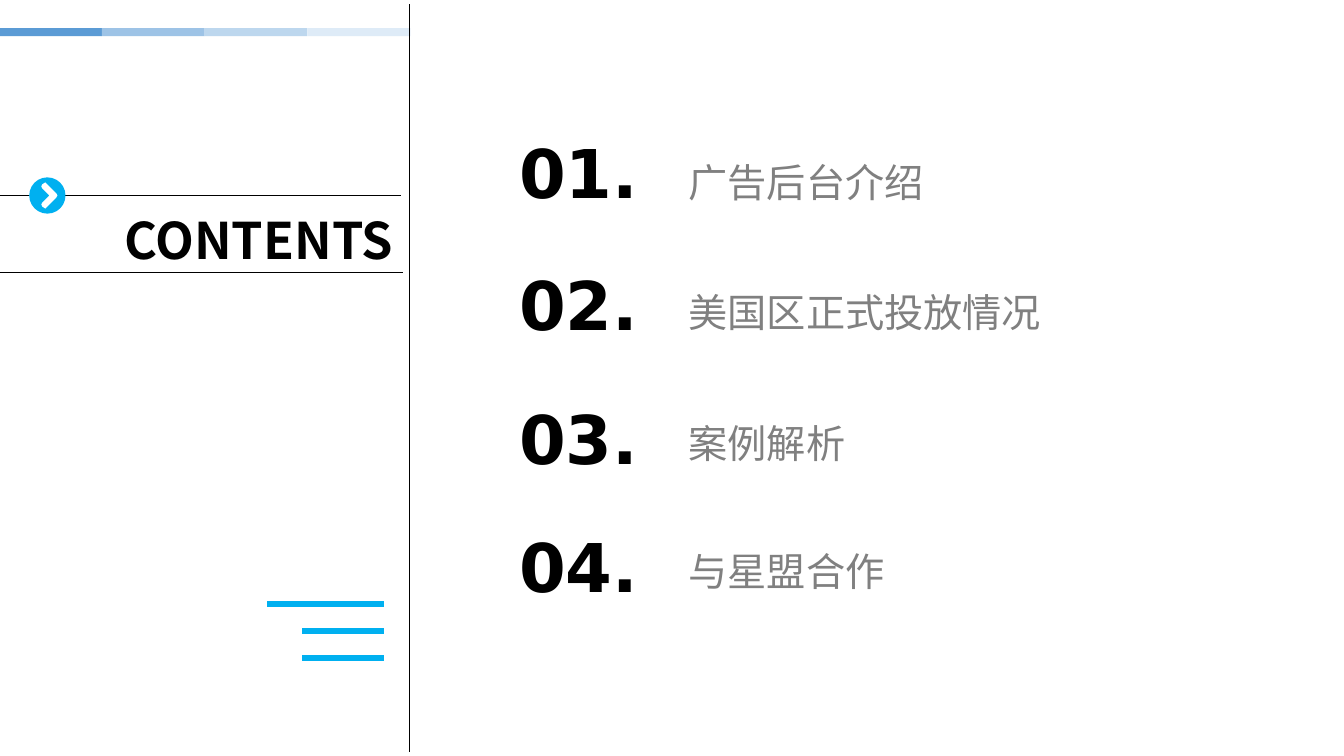
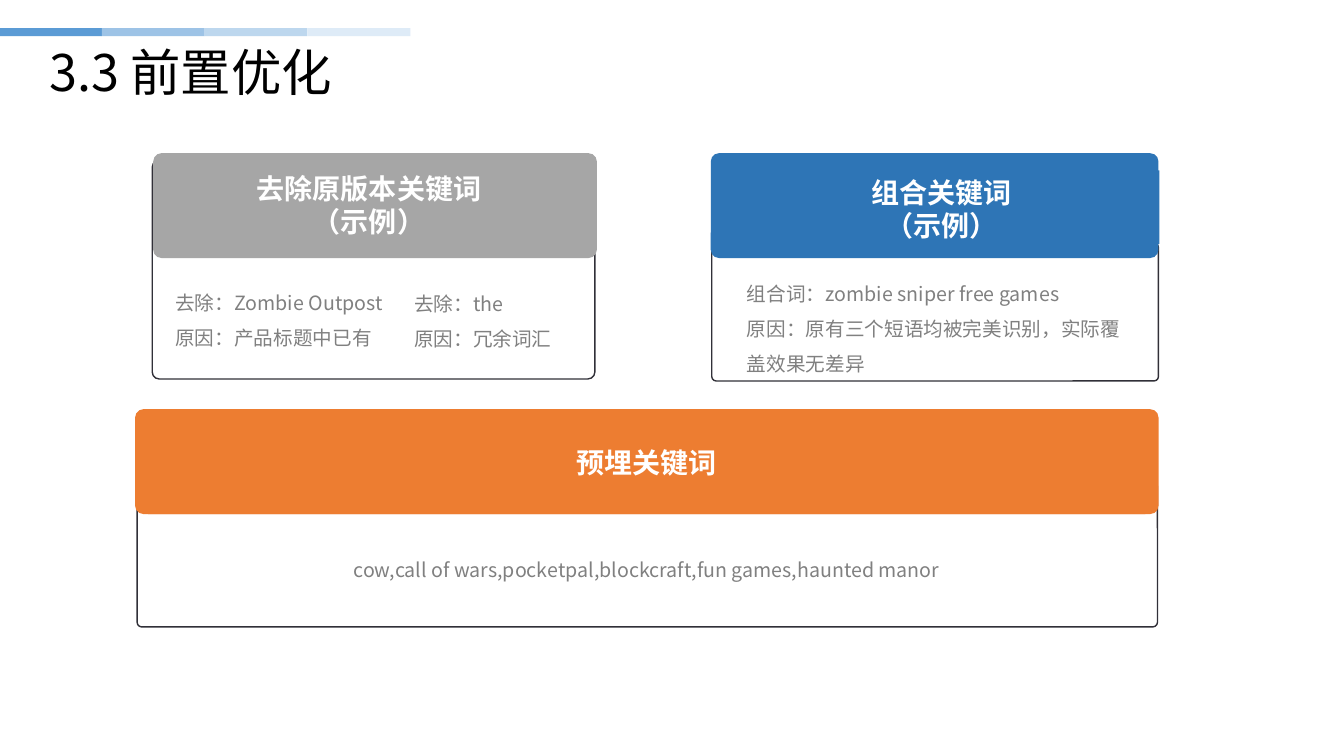
from lxml import etree
from pptx import Presentation
from pptx.dml.color import RGBColor
from pptx.enum.shapes import MSO_CONNECTOR, MSO_SHAPE
from pptx.enum.text import MSO_ANCHOR as ANCHOR, PP_ALIGN as ALIGN
from pptx.oxml.ns import qn
from pptx.util import Inches, Pt

BLACK = RGBColor(0x00, 0x00, 0x00)
WHITE = RGBColor(0xFF, 0xFF, 0xFF)
GRAY = RGBColor(0x80, 0x80, 0x80)
OUTLINE = RGBColor(0x31, 0x30, 0x38)
CYAN = RGBColor(0x00, 0xB0, 0xF0)
ORANGE = RGBColor(0xED, 0x7D, 0x31)
SILVER = RGBColor(0xA6, 0xA6, 0xA6)
BLUE = RGBColor(0x2E, 0x75, 0xB6)
STRIP = (RGBColor(0x5B, 0x9B, 0xD5), RGBColor(0x9D, 0xC3, 0xE6),
         RGBColor(0xBD, 0xD7, 0xEE), RGBColor(0xDE, 0xEB, 0xF7))

CJK = "Noto Sans CJK SC"
HEADING = dict(name=CJK, size=Pt(36), color=BLACK)
NUMBER = dict(name="DejaVu Sans", size=Pt(48), bold=True, color=BLACK)
ENTRY = dict(name=CJK, size=Pt(28), color=GRAY)
CARD_HEAD = dict(name="Roboto", size=Pt(20), bold=True, color=WHITE)
CARD_TEXT = dict(name=CJK, size=Pt(14), color=GRAY)
TIGHT = (0.07, 0.04)


def write(tf, lines, style, align=ALIGN.LEFT, anchor=ANCHOR.TOP,
          spacing=None, insets=(0.1, 0.05)):
    """Fill a text frame with one paragraph per line."""
    tf.word_wrap = True
    tf.vertical_anchor = anchor
    tf.margin_left = tf.margin_right = Inches(insets[0])
    tf.margin_top = tf.margin_bottom = Inches(insets[1])
    for i, line in enumerate(lines):
        p = tf.paragraphs[0] if i == 0 else tf.add_paragraph()
        p.alignment = align
        if spacing:
            p.line_spacing = spacing
        r = p.add_run()
        r.text = line
        for key, value in style.items():
            if key == "color":
                r.font.color.rgb = value
            else:
                setattr(r.font, key, value)
        ea = etree.SubElement(r.font._element, qn("a:ea"))
        ea.set("typeface", CJK)


def add_text(s, x, y, w, h, lines, style, **layout):
    sp = s.shapes.add_textbox(Inches(x), Inches(y), Inches(w), Inches(h))
    write(sp.text_frame, lines, style, **layout)


def paint(sp, fill=None, line=None):
    sp.shadow.inherit = False
    if fill is None:
        sp.fill.background()
    else:
        sp.fill.solid()
        sp.fill.fore_color.rgb = fill
    if line is None:
        sp.line.fill.background()
    else:
        sp.line.color.rgb = line
        sp.line.width = Pt(1)


def add_box(s, kind, x, y, w, h, fill=None, line=None, radius=None):
    sp = s.shapes.add_shape(kind, Inches(x), Inches(y), Inches(w), Inches(h))
    paint(sp, fill, line)
    if radius is not None:
        sp.adjustments[0] = radius
    return sp


def add_line(s, x1, y1, x2, y2, color=BLACK, width=0.5):
    cn = s.shapes.add_connector(MSO_CONNECTOR.STRAIGHT, Inches(x1), Inches(y1),
                                Inches(x2), Inches(y2))
    cn.line.color.rgb = color
    cn.line.width = Pt(width)
    etree.SubElement(cn._element.spPr, qn("a:effectLst"))


def new_slide(prs):
    """Add a blank slide with the four-tone strip at its top left."""
    s = prs.slides.add_slide(prs.slide_layouts[6])
    for i, color in enumerate(STRIP):
        add_box(s, MSO_SHAPE.RECTANGLE, 1.02 * i - 0.01, 0.28, 1.02, 0.08, color)
    return s


def arrow_badge(s, cx, cy):
    """Draw a round badge with a blunt chevron, centred on a point."""
    radius = 0.18
    add_box(s, MSO_SHAPE.OVAL, cx - radius, cy - radius, 2 * radius, 2 * radius, CYAN)
    upper = [(0.09, -0.02), (0, -0.11), (-0.02, -0.13), (-0.05, -0.11),
             (-0.06, -0.09), (-0.05, -0.07)]
    lower = [(dx, -dy) for dx, dy in reversed(upper)]
    outline = [(0.1, 0), *upper, (0.02, 0), *lower]
    points = [(Inches(cx + dx), Inches(cy + dy)) for dx, dy in outline]
    fb = s.shapes.build_freeform(*points[0])
    fb.add_line_segments(points[1:], close=True)
    paint(fb.convert_to_shape(), WHITE)


def side_panel(s, right):
    """Draw the heading column that ends at the given right edge."""
    add_line(s, 0, 2.7, right - 0.06, 2.7)
    add_line(s, 0, 1.94, right - 0.08, 1.94)
    add_text(s, right - 3.83, 1.94, 3.77, 0.86, ["CONTENTS"],
             dict(HEADING, bold=True), align=ALIGN.RIGHT, anchor=ANCHOR.MIDDLE)
    arrow_badge(s, 0.47, 1.94)
    end = right - 0.25
    for i, length in enumerate((1.16, 0.81, 0.81)):
        y = 5.99 + 0.27 * i
        add_line(s, end - length, y, end, y, CYAN, 4.5)
    add_line(s, right, 0.04, right, 7.46)


def contents_slide(prs):
    s = new_slide(prs)
    side_panel(s, 4.06)
    entries = [(1.39, 1.53, "广告后台介绍"), (2.7, 2.82, "美国区正式投放情况"),
               (4.03, 4.12, "案例解析"), (5.3, 5.39, "与星盟合作")]
    layout = dict(anchor=ANCHOR.MIDDLE, insets=TIGHT)
    for i, (number_y, entry_y, entry) in enumerate(entries, 1):
        add_text(s, 5.08, number_y, 1.72, 0.63, [f"{i:02}."], NUMBER, **layout)
        add_text(s, 6.76, entry_y, 4.86, 0.55, [entry], ENTRY, **layout)


def card(s, x, y, w, color, heading, frame, label, texts):
    """Draw a headed card; frame, label and texts are offset from (x, y)."""
    def place(box):
        dx, dy, *size = box
        return x + dx, y + dy, *size

    rounded = MSO_SHAPE.ROUNDED_RECTANGLE
    add_box(s, rounded, *place(frame), line=OUTLINE, radius=0.032)
    add_box(s, rounded, x, y, w, 1.04, color, radius=0.079)
    sp = add_box(s, MSO_SHAPE.RECTANGLE, *place(label), 0.73, color)
    write(sp.text_frame, heading, CARD_HEAD, align=ALIGN.CENTER)
    for box, lines, align in texts:
        add_text(s, *place(box), lines, CARD_TEXT, align=align, spacing=1.5)


def keywords_slide(prs):
    s = new_slide(prs)
    add_text(s, 0.39, 0.4, 11.5, 0.69, ["3.3 前置优化"], HEADING,
             anchor=ANCHOR.MIDDLE, spacing=0.9)
    card(s, 1.34, 4.06, 10.15, ORANGE, ["预埋关键词"],
         frame=(0.02, 0.72, 10.12, 1.44), label=(0.13, 0.31, 9.89),
         texts=[((1.08, 1.31, 7.99, 0.45),
                 ["cow,call of wars,pocketpal,blockcraft,fun games,haunted manor"],
                 ALIGN.CENTER)])
    card(s, 1.52, 1.52, 4.4, SILVER, ["去除原版本关键词", "（示例）"],
         frame=(-0.01, 0.07, 4.39, 2.17), label=(0, 0.13, 4.28),
         texts=[((0.12, 1.2, 3.88, 0.81),
                 ["去除：Zombie Outpost", "原因：产品标题中已有"], ALIGN.LEFT),
                ((2.49, 1.21, 1.66, 1.16),
                 ["去除：the", "原因：冗余词汇"], ALIGN.LEFT)])
    card(s, 7.05, 1.52, 4.44, BLUE, ["组合关键词", "（示例）"],
         frame=(0.01, 0.89, 4.43, 1.37), label=(0.12, 0.17, 4.33),
         texts=[((0.26, 1.11, 3.99, 1.16),
                 ["组合词：zombie sniper free games",
                  "原因：原有三个短语均被完美识别，实际覆盖效果无差异"], ALIGN.LEFT)])


def main():
    prs = Presentation()
    prs.slide_width, prs.slide_height = Inches(13.33), Inches(7.5)
    contents_slide(prs)
    keywords_slide(prs)
    prs.save("out.pptx")


if __name__ == "__main__":
    main()
